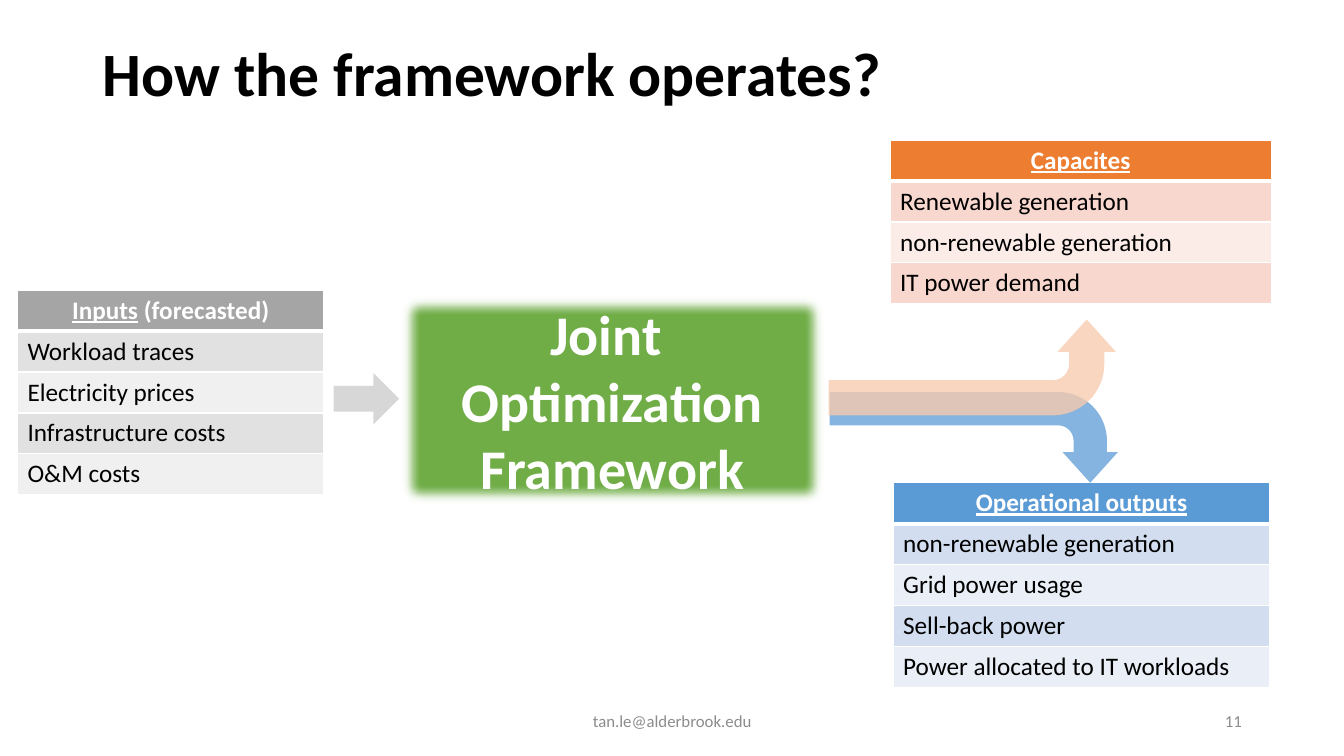
from lxml.etree import SubElement
from pptx import Presentation
from pptx.dml.color import RGBColor
from pptx.enum.shapes import MSO_SHAPE as Shape
from pptx.enum.text import MSO_ANCHOR as Anchor, MSO_AUTO_SIZE as AutoSize, PP_ALIGN as Align
from pptx.oxml.ns import qn
from pptx.util import Inches, Pt

FONT = "Calibri"
WHITE, BLACK, GREY = "FFFFFF", "000000", "8C8C8C"
ROW = 5.33  # table row height, percent of slide height


def color(hex_):
    return RGBColor.from_string(hex_)


class Deck:
    """Slide builder; lengths are percentages of the slide's width and height."""

    def __init__(self):
        self.prs = Presentation()
        self.prs.slide_width, self.prs.slide_height = Inches(13.333), Inches(7.5)
        self.slide = self.prs.slides.add_slide(self.prs.slide_layouts[5])

    def box(self, x, y, w, h):
        across, down = self.prs.slide_width / 100, self.prs.slide_height / 100
        return int(x * across), int(y * down), int(w * across), int(h * down)

    def style(self, p, size, hex_, bold=False, align=Align.LEFT):
        p.alignment = align
        f = p.font
        f.name, f.size, f.bold = FONT, Pt(size), bold
        f.color.rgb = color(hex_)

    def title(self, text, *at):
        s = self.slide.shapes.title
        s.left, s.top, s.width, s.height = self.box(*at)
        tf = s.text_frame
        tf.text, tf.vertical_anchor, tf.word_wrap = text, Anchor.MIDDLE, True
        p = tf.paragraphs[0]
        p.line_spacing = 0.9
        self.style(p, 44, BLACK, True)

    def label(self, text, align, *at):
        tf = self.slide.shapes.add_textbox(*self.box(*at)).text_frame
        tf.text, tf.vertical_anchor, tf.word_wrap = text, Anchor.MIDDLE, True
        self.style(tf.paragraphs[0], 12, GREY, align=align)

    def shape(self, kind, fill, *at, alpha=None, turn=0, flip=False, adj=()):
        s = self.slide.shapes.add_shape(kind, *self.box(*at))
        s.shadow.inherit = False
        s.fill.solid()
        s.fill.fore_color.rgb = color(fill)
        s.line.fill.background()
        s.rotation = turn
        for i, value in enumerate(adj):
            s.adjustments[i] = value
        spPr = s._element.spPr
        if flip:
            spPr.find(qn("a:xfrm")).set("flipH", "1")
        if alpha:
            clr = spPr.find(qn("a:solidFill")).find(qn("a:srgbClr"))
            SubElement(clr, qn("a:alpha"), val=str(alpha * 1000))
        return s

    def soft_block(self, lines, fill, line, *at):
        s = self.shape(Shape.RECTANGLE, fill, *at)
        s.line.color.rgb = color(line)
        s.line.width = Pt(1)
        effects = s._element.spPr.find(qn("a:effectLst"))
        SubElement(effects, qn("a:softEdge"), rad="112500")
        tf = s.text_frame
        tf.text = "\n".join(lines)
        tf.word_wrap, tf.auto_size = True, AutoSize.SHAPE_TO_FIT_TEXT
        for p in tf.paragraphs:
            self.style(p, 40, WHITE, True, Align.CENTER)

    def borders(self, cell, **widths):
        tcPr = cell._tc.get_or_add_tcPr()
        for side in "LRTB":
            ln = SubElement(tcPr, qn("a:ln" + side), w=str(Pt(widths.get(side, 1))))
            fill = SubElement(ln, qn("a:solidFill"))
            SubElement(fill, qn("a:srgbClr"), val=WHITE)

    def table(self, head, items, fills, x, y, w, suffix=""):
        n = len(items) + 1
        frame = self.slide.shapes.add_table(n, 1, *self.box(x, y, w, ROW * n))
        for i, text in enumerate([head, *items]):
            cell = frame.table.cell(i, 0)
            self.borders(cell, T=3 if i == 1 else 1, B=3 if i == 0 else 1)
            cell.fill.solid()
            # Header colour first, then the two bands in turn
            cell.fill.fore_color.rgb = color(fills[0] if i == 0 else fills[2 - i % 2])
            p = cell.text_frame.paragraphs[0]
            r = p.add_run()
            r.text = text
            if i:
                self.style(p, 18, BLACK)
                continue
            self.style(p, 18, WHITE, True, Align.CENTER)
            r.font.underline = True
            if suffix:
                p.add_run().text = suffix


def main():
    deck = Deck()
    deck.title("How the framework operates?", 6.9, 0.4, 74.4, 19.33)

    # Input and output tables
    deck.table("Inputs",
               ["Workload traces", "Electricity prices", "Infrastructure costs", "O&M costs"],
               ("A5A5A5", "E1E1E1", "F0F0F0"), 1.3, 38.4, 22.8, suffix=" (forecasted)")
    deck.table("Capacites",
               ["Renewable generation", "non-renewable generation", "IT power demand"],
               ("ED7D31", "F8D7CE", "FCECE8"), 66.23, 18.55, 28.35)
    deck.table("Operational outputs",
               ["non-renewable generation", "Grid power usage", "Sell-back power",
                "Power allocated to IT workloads"],
               ("5B9BD5", "D2DEEF", "EAEFF7"), 66.45, 63.87, 28.05)

    # Framework block and the arrows into and out of it
    deck.shape(Shape.DOWN_ARROW, "D0CECE", 25.35, 48.4, 3.83, 8.67, alpha=81, turn=270)
    deck.soft_block(["Joint ", "Optimization", "Framework"], "70AD47", "538035",
                    29.55, 38.67, 32.03, 28.53)
    bend = (0.367, 0.305, 0.338, 0.537)
    deck.shape(Shape.BENT_ARROW, "5B9BD5", 69.08, 38.8, 6.75, 38.13,
               alpha=75, turn=90, adj=bend)
    deck.shape(Shape.BENT_ARROW, "F8CBAD", 68.78, 29.6, 7.13, 38,
               alpha=78, turn=90, flip=True, adj=bend)

    # Footer
    deck.label("tan.le@alderbrook.edu", Align.CENTER, 33.15, 92.67, 33.75, 5.33)
    deck.label("11", Align.RIGHT, 70.65, 92.67, 22.5, 5.33)

    deck.prs.save("out.pptx")


if __name__ == "__main__":
    main()
